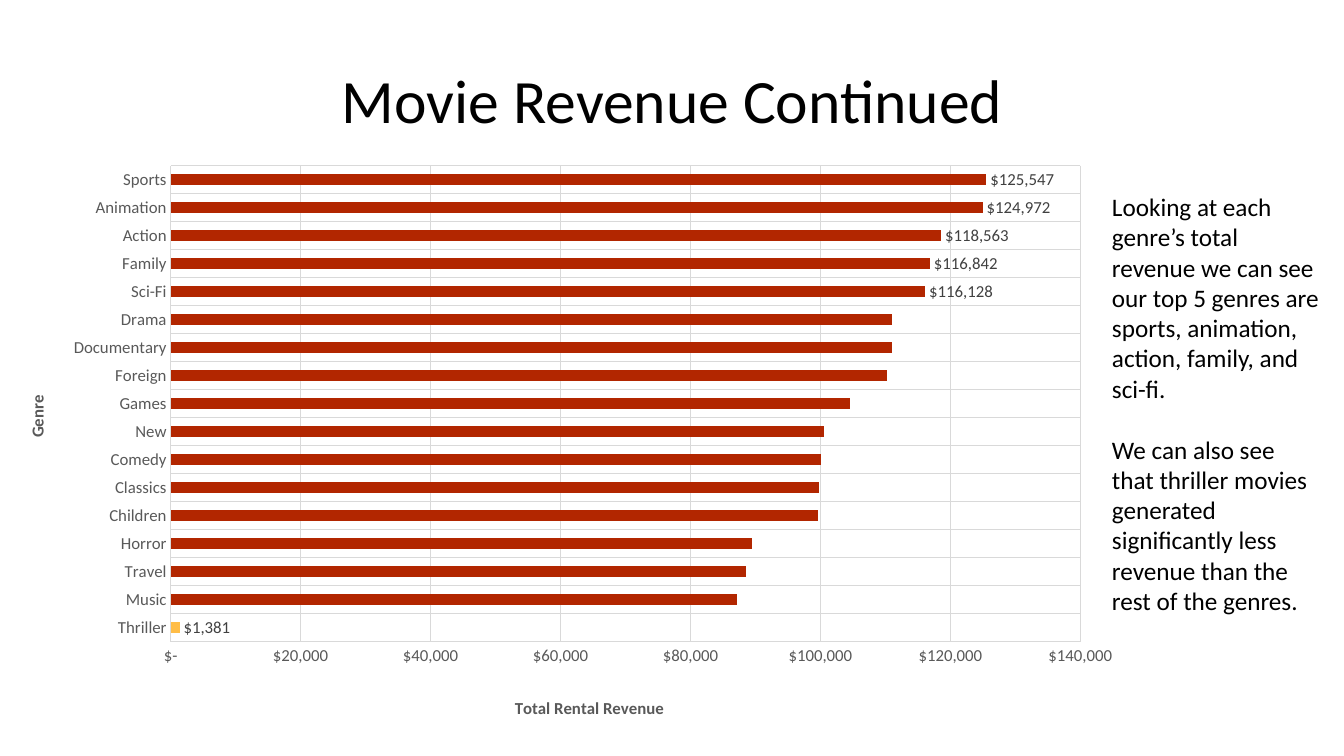
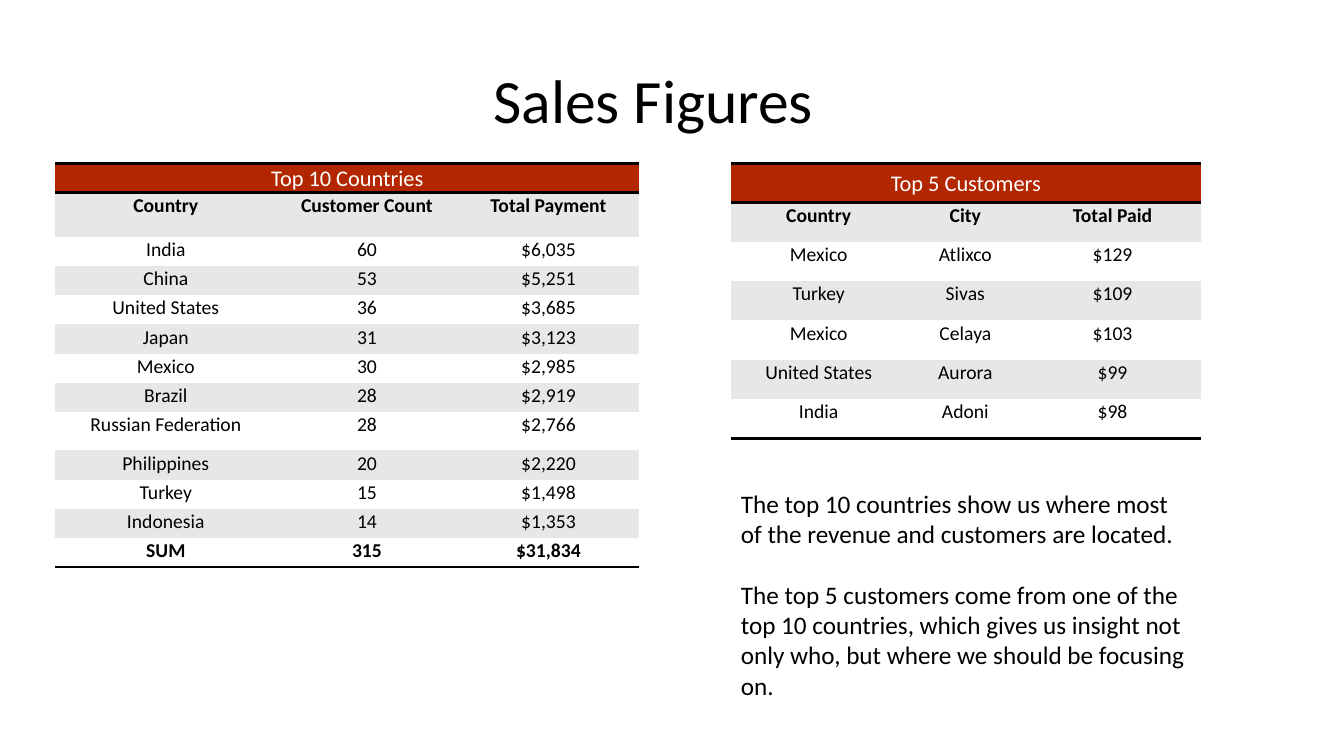
from dataclasses import dataclass

from lxml import etree
from pptx import Presentation
from pptx.chart.data import CategoryChartData
from pptx.dml.color import RGBColor
from pptx.enum.chart import XL_CHART_TYPE as ChartType
from pptx.enum.chart import XL_LABEL_POSITION as LabelPosition
from pptx.enum.chart import XL_TICK_MARK as TickMark
from pptx.enum.text import MSO_ANCHOR as Anchor
from pptx.enum.text import PP_ALIGN as Align
from pptx.oxml.ns import qn
from pptx.util import Inches, Pt


@dataclass(frozen=True)
class Theme:
    font: str = "Calibri"
    black: RGBColor = RGBColor(0x00, 0x00, 0x00)
    white: RGBColor = RGBColor(0xFF, 0xFF, 0xFF)
    red: RGBColor = RGBColor(0xB2, 0x26, 0x00)
    amber: RGBColor = RGBColor(0xFF, 0xBD, 0x47)
    band: RGBColor = RGBColor(0xE7, 0xE7, 0xE7)
    grid: RGBColor = RGBColor(0xD9, 0xD9, 0xD9)
    axis: RGBColor = RGBColor(0x59, 0x59, 0x59)
    label: RGBColor = RGBColor(0x40, 0x40, 0x40)
    title_size: int = 44
    body_size: int = 18
    heading_size: int = 16
    cell_size: int = 14
    chart_size: int = 12


theme = Theme()
NO_GRID_STYLE = "{2D5ABB26-0587-4C30-8999-92F81FD0307C}"


def write(paragraph, text, size=theme.body_size, color=theme.black, bold=False,
          align=None, line_spacing=None, space_before=None):
    """Add one formatted run to a paragraph."""
    run = paragraph.add_run()
    run.text = text
    run.font.name = theme.font
    run.font.size = Pt(size)
    run.font.bold = bold
    run.font.color.rgb = color
    paragraph.alignment = align
    paragraph.line_spacing = line_spacing
    paragraph.space_before = space_before


def place(element, index, **fractions):
    """Give a chart part a manual layout in fractions of the chart."""
    for old_layout in element.findall(qn("c:layout")):
        element.remove(old_layout)
    layout = etree.Element(qn("c:layout"))
    manual = etree.SubElement(layout, qn("c:manualLayout"))
    if "w" in fractions:
        etree.SubElement(manual, qn("c:layoutTarget"), val="inner")
    for mode in ("xMode", "yMode"):
        etree.SubElement(manual, qn(f"c:{mode}"), val="edge")
    for name, value in fractions.items():
        etree.SubElement(manual, qn(f"c:{name}"), val=str(value))
    element.insert(index, layout)


# Slide content
genre_revenue = {
    "Thriller": 1381, "Music": 87185, "Travel": 88558, "Horror": 89445,
    "Children": 99686, "Classics": 99715, "Comedy": 100147, "New": 100529,
    "Games": 104539, "Foreign": 110214, "Documentary": 111022, "Drama": 111074,
    "Sci-Fi": 116128, "Family": 116842, "Action": 118563, "Animation": 124972,
    "Sports": 125547,
}
slide_texts = [
    # title, title left and width, note box, note paragraphs
    ("Movie Revenue Continued", 0.92, 11.5, (10.93, 1.85, 2.25, 4.34), [
        "Looking at each genre’s total revenue we can see our top 5 genres are "
        "sports, animation, action, family, and sci-fi.",
        "We can also see that thriller movies generated significantly less "
        "revenue than the rest of the genres.",
    ]),
    ("Sales Figures", 1.23, 10.5, (7.25, 4.79, 4.66, 2.22), [
        "The top 10 countries show us where most of the revenue and customers "
        "are located.",
        "The top 5 customers come from one of the top 10 countries, which gives "
        "us insight not only who, but where we should be focusing on.",
    ]),
]
customer_rows = [
    ("Country", "City", "Total Paid"),
    ("Mexico", "Atlixco", "$129"),
    ("Turkey", "Sivas", "$109"),
    ("Mexico", "Celaya", "$103"),
    ("United States", "Aurora", "$99"),
    ("India", "Adoni", "$98"),
]
country_rows = [
    ("Country", "Customer Count", "Total Payment"),
    ("India", "60", "$6,035"),
    ("China", "53", "$5,251"),
    ("United States", "36", "$3,685"),
    ("Japan", "31", "$3,123"),
    ("Mexico", "30", "$2,985"),
    ("Brazil", "28", "$2,919"),
    ("Russian Federation", "28", "$2,766"),
    ("Philippines", "20", "$2,220"),
    ("Turkey", "15", "$1,498"),
    ("Indonesia", "14", "$1,353"),
    ("SUM", "315", "$31,834"),
]
tables = [
    # heading, left, column widths, row height, taller rows, rows
    ("Top 5 Customers", 7.25, (1.74, 1.17, 1.75), 0.39, {}, customer_rows),
    ("Top 10 Countries", 0.55, (2.19, 1.8, 1.8), 0.29, {1: 0.44, 8: 0.38},
     country_rows),
]

presentation = Presentation()
presentation.slide_width = Inches(13.33)
presentation.slide_height = Inches(7.5)

# Titles and notes
for title_text, left, width, note_box, notes in slide_texts:
    slide = presentation.slides.add_slide(presentation.slide_layouts[5])
    title = slide.shapes.title
    title.left, title.top = Inches(left), Inches(0.2)
    title.width, title.height = Inches(width), Inches(1.65)
    title.text_frame.vertical_anchor = Anchor.MIDDLE
    write(title.text_frame.paragraphs[0], title_text, size=theme.title_size,
          align=Align.CENTER, line_spacing=0.9)

    note_frame = slide.shapes.add_textbox(*map(Inches, note_box)).text_frame
    note_frame.word_wrap = True
    for number, note in enumerate(notes):
        paragraph = note_frame.add_paragraph() if number else note_frame.paragraphs[0]
        write(paragraph, note, space_before=Pt(22) if number else None)

revenue_slide, sales_slide = presentation.slides

# Revenue chart
chart_data = CategoryChartData(number_format='"$"#,##0')
chart_data.categories = list(genre_revenue)
chart_data.add_series("Series 1", list(genre_revenue.values()))
chart = revenue_slide.shapes.add_chart(
    ChartType.BAR_CLUSTERED, Inches(0), Inches(1.53), Inches(11.28), Inches(5.76),
    chart_data).chart
chart.has_title = False
chart.has_legend = False
chart.font.name = theme.font
chart.font.size = Pt(theme.chart_size)
chart.font.color.rgb = theme.axis
plot_area = chart._chartSpace.find(".//" + qn("c:plotArea"))
place(plot_area, 0, x=0.15, y=0.02, w=0.8, h=0.82)

# Chart axes
category_axis, value_axis = chart.category_axis, chart.value_axis
for axis, axis_title, x, y in (
    (category_axis, "Genre", 0.02, 0.41),
    (value_axis, "Total Rental Revenue", 0.45, 0.93),
):
    axis.has_major_gridlines = True
    for line in (axis.format.line, axis.major_gridlines.format.line):
        line.color.rgb = theme.grid
        line.width = Pt(0.75)
    axis.major_tick_mark = TickMark.NONE
    title_frame = axis.axis_title.text_frame
    write(title_frame.paragraphs[0], axis_title, size=theme.chart_size,
          color=theme.axis, bold=True)
    if axis is category_axis:
        title_frame._txBody.bodyPr.set("rot", "-5400000")
        title_frame._txBody.bodyPr.set("vert", "horz")
    place(axis.axis_title._element, 1, x=x, y=y)
value_axis.format.line.fill.background()
value_axis.minimum_scale = 0
value_axis.maximum_scale = 140000
value_axis.major_unit = 20000
value_axis.tick_labels.number_format = '"$"#,##0;;"$-"'
value_axis.tick_labels.number_format_is_linked = False

# Chart bars, with labels on the lowest and the top five
plot = chart.plots[0]
plot.gap_width = 150
plot.vary_by_categories = False
series = plot.series[0]
series.invert_if_negative = False
series.format.fill.solid()
series.format.fill.fore_color.rgb = theme.red
lowest_fill = series.points[0].format.fill
lowest_fill.solid()
lowest_fill.fore_color.rgb = theme.amber
series.data_labels.show_value = False
genre_count = len(genre_revenue)
for index in (0, *range(genre_count - 5, genre_count)):
    label = series.points[index].data_label
    label.font.size = Pt(theme.chart_size)
    label.font.color.rgb = theme.label
    label.position = LabelPosition.OUTSIDE_END

# Sales tables
for heading, left, widths, row_height, taller_rows, body_rows in tables:
    rows = [(heading, "", ""), *body_rows]
    heights = [taller_rows.get(index, row_height) for index in range(len(rows))]
    frame = sales_slide.shapes.add_table(
        len(rows), len(widths), Inches(left), Inches(1.62),
        Inches(sum(widths)), Inches(sum(heights)))
    frame._element.find(".//" + qn("a:tableStyleId")).text = NO_GRID_STYLE
    table = frame.table
    for column, width in zip(table.columns, widths):
        column.width = Inches(width)
    for row, height in zip(table.rows, heights):
        row.height = Inches(height)
    table.cell(0, 0).merge(table.cell(0, len(widths) - 1))

    for row_index, row_texts in enumerate(rows):
        is_heading = row_index == 0
        is_last = row_index == len(rows) - 1
        is_bold = row_index == 1 or row_texts[0] == "SUM"
        fill = theme.red if is_heading else theme.band if row_index % 2 else theme.white
        edges = ("a:lnT", "a:lnB") if is_heading else ("a:lnB",) if is_last else ()
        for column_index, text in enumerate(row_texts):
            cell = table.cell(row_index, column_index)
            cell.margin_left = cell.margin_right = cell.margin_top = Inches(0.01)
            cell.margin_bottom = 0
            cell.vertical_anchor = Anchor.MIDDLE if is_heading else Anchor.TOP
            for edge in edges:
                border = etree.SubElement(cell._tc.get_or_add_tcPr(), qn(edge),
                                          w=str(Pt(2)))
                border_fill = etree.SubElement(border, qn("a:solidFill"))
                etree.SubElement(border_fill, qn("a:srgbClr"), val=str(theme.black))
            cell.fill.solid()
            cell.fill.fore_color.rgb = fill
            if text:
                write(cell.text_frame.paragraphs[0], text, align=Align.CENTER,
                      size=theme.heading_size if is_heading else theme.cell_size,
                      color=theme.white if is_heading else theme.black, bold=is_bold)

presentation.save("out.pptx")
